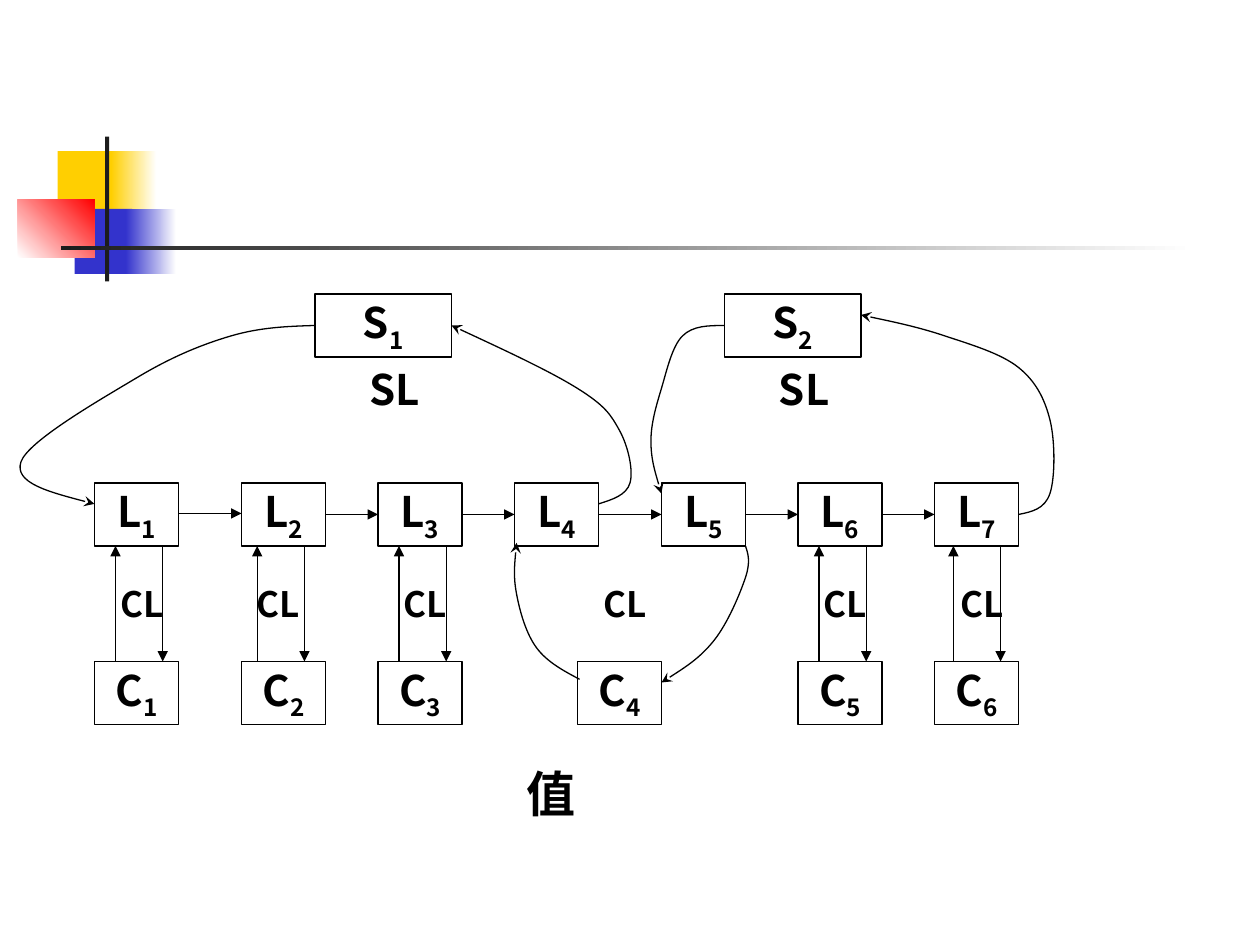
import pptx
import pptx.util
import pptx.dml.color
import pptx.enum.shapes
import pptx.enum.text
import pptx.oxml
import pptx.oxml.ns

HUES = {"ink": "000000", "bar": "1C1C1C", "gold": "FFCF01",
        "blue": "3333CC", "red": "FF0000", "white": "FFFFFF"}
FONT = "Noto Sans CJK SC"
COLS, ROWS = 120, 90            # grid of the slide, twelve cells to the inch
CELL = pptx.util.Inches(10) // COLS

L_ROW, C_ROW, S_ROW = 46, 63, 28
BOX_W, BOX_H, S_W = 8, 6, 13
L_COLS = [9, 23, 36, 49, 63, 76, 89]
S_COLS = [30, 69]
# Left of each C box, left of its CL label, column of its upward arrow
LINKS = [(9, 8, 11), (23, 21, 24.5), (36, 35, 38),
         (55, 54, None), (76, 75, 78), (89, 88, 90.8)]
PAIR_GAP = 4.5
# Knots of the curved arrows
CURVES = [
    [(30, 31), (22, 32), (13, 36), (2, 44), (9, 48)],
    [(57, 48), (60, 46), (59, 41), (55, 37), (43, 31)],
    [(69, 31), (65, 32), (63, 37), (62, 42), (63, 47)],
    [(97, 49), (100, 47), (100, 40), (97, 35), (90, 32), (82, 30)],
    [(71, 52), (71, 55), (68, 61), (63, 65)],
    [(55.2, 64.7), (51.1, 61.7), (49.2, 56.6), (49.2, 51.7)],
]
# Corner ornament: place, first colour, last colour, angle
DECOR = [
    ((5.5, 14.4, 5.8, 6.2), "gold", None, 0),
    ((10.6, 14.4, 4.3, 6.2), "gold", "white", 0),
    ((7.1, 19.9, 5.5, 6.2), "blue", None, 0),
    ((12, 19.9, 4.8, 6.2), "blue", "white", 0),
    ((1.7, 19, 7.3, 5.5), "white", "red", 45),
    ((10, 13, 0.4, 13.8), "bar", None, 0),
    ((5.8, 23.4, 108, 0.4), "bar", "white", 0),
]


def grid(*cells):
    return [round(n * CELL) for n in cells]


def hue(name):
    return pptx.dml.color.RGBColor.from_string(HUES[name])


def rect(slide, place):
    kind = pptx.enum.shapes.MSO_SHAPE.RECTANGLE
    shape = slide.shapes.add_shape(kind, *grid(*place))
    shape.shadow.inherit = False
    return shape


def decor(slide, place, first, last, angle):
    shape = rect(slide, place)
    shape.line.fill.background()
    if last is None:
        shape.fill.solid()
        shape.fill.fore_color.rgb = hue(first)
        return
    shape.fill.gradient()
    shape.fill.gradient_angle = angle
    for stop, name in zip(shape.fill.gradient_stops, (first, last)):
        stop.color.rgb = hue(name)


def write(shape, text, size, sub=""):
    """Put centred bold text in a shape, with an optional subscript."""
    frame = shape.text_frame
    frame.word_wrap = False
    frame.vertical_anchor = pptx.enum.text.MSO_ANCHOR.MIDDLE
    frame.text = text
    para = frame.paragraphs[0]
    para.alignment = pptx.enum.text.PP_ALIGN.CENTER
    if sub:
        run = para.add_run()
        run.text = sub
        run.font._element.set("baseline", "-25000")
    for run in para.runs:
        run.font.size = pptx.util.Pt(size)
        run.font.bold = True
        run.font.name = FONT
        run.font.color.rgb = hue("ink")
        east = pptx.oxml.parse_xml(
            f'<a:ea {pptx.oxml.ns.nsdecls("a")} typeface="{FONT}"/>')
        run.font._element.find(pptx.oxml.ns.qn("a:latin")).addnext(east)


def box(slide, col, row, width, name, index):
    shape = rect(slide, (col, row, width, BOX_H))
    shape.fill.background()
    shape.line.color.rgb = hue("ink")
    shape.line.width = pptx.util.Pt(0.75)
    write(shape, name, 24, str(index))


def label(slide, place, text, size):
    shape = slide.shapes.add_textbox(*grid(*place))
    write(shape, text, size)
    return shape


def tip(shape, head):
    """Style a line and end it with an arrowhead."""
    shape.line.color.rgb = hue("ink")
    shape.line.width = pptx.util.Pt(0.75)
    space = pptx.oxml.ns.nsdecls("a")
    line = shape.line._get_or_add_ln()
    line.append(pptx.oxml.parse_xml(f'<a:tailEnd {space} type="{head}"/>'))


def arrow(slide, start, end):
    kind = pptx.enum.shapes.MSO_CONNECTOR.STRAIGHT
    link = slide.shapes.add_connector(kind, *grid(*start, *end))
    tip(link, "triangle")
    space = pptx.oxml.ns.nsdecls("a")
    link._element.spPr.append(pptx.oxml.parse_xml(f"<a:effectLst {space}/>"))


def mid(a, b):
    return (a[0] + b[0]) / 2, (a[1] + b[1]) / 2


def spline(knots):
    """Bezier points of a smooth curve through the knots."""
    slopes = [((c[0] - a[0]) / 6, (c[1] - a[1]) / 6)
              for a, c in zip(knots, knots[2:])]
    before = [(k[0] - s[0], k[1] - s[1]) for k, s in zip(knots[1:], slopes)]
    after = [(k[0] + s[0], k[1] + s[1]) for k, s in zip(knots[1:], slopes)]
    after.insert(0, mid(knots[0], before[0]))
    before.append(mid(after[-1], knots[-1]))
    return [p for trio in zip(after, before, knots[1:]) for p in trio]


def curve(slide, knots):
    pen = slide.shapes.build_freeform(*grid(*knots[0]))
    pen.add_line_segments([grid(*p) for p in spline(knots)], close=False)
    shape = pen.convert_to_shape()
    shape.shadow.inherit = False
    shape.fill.background()
    tip(shape, "stealth")
    # Each three straight steps become one Bezier step
    steps = list(shape._element.iter(pptx.oxml.ns.qn("a:lnTo")))
    for i in range(0, len(steps), 3):
        bend = pptx.oxml.parse_xml(
            f'<a:cubicBezTo {pptx.oxml.ns.nsdecls("a")}/>')
        steps[i].addprevious(bend)
        for step in steps[i:i + 3]:
            bend.append(step[0])
            step.getparent().remove(step)


def main():
    deck = pptx.Presentation()
    deck.slide_width, deck.slide_height = grid(COLS, ROWS)
    slide = deck.slides.add_slide(deck.slide_layouts[6])

    # Corner ornament
    for part in DECOR:
        decor(slide, *part)

    # S boxes with their labels
    for i, col in enumerate(S_COLS, 1):
        box(slide, col, S_ROW, S_W, "S", i)
        note = label(slide, (col + 4, S_ROW + BOX_H, 9, 6), "SL", 24)
        note.text_frame.word_wrap = True
        note.text_frame.vertical_anchor = pptx.enum.text.MSO_ANCHOR.TOP
        note.text_frame.paragraphs[0].alignment = pptx.enum.text.PP_ALIGN.LEFT

    # Chain of L boxes
    for i, col in enumerate(L_COLS, 1):
        box(slide, col, L_ROW, BOX_W, "L", i)
    for i, (left, right) in enumerate(zip(L_COLS, L_COLS[1:])):
        row = L_ROW + BOX_H / 2 - (0.1 if i == 0 else 0)
        arrow(slide, (left + BOX_W, row), (right, row))

    # C boxes, labels and arrow pairs
    low = L_ROW + BOX_H
    for i, (col, side, rise) in enumerate(LINKS, 1):
        box(slide, col, C_ROW, BOX_W, "C", i)
        label(slide, (side, 55, 11, 5), "CL", 20)
        if rise:
            fall = rise + PAIR_GAP
            arrow(slide, (fall, low), (fall, C_ROW))
            arrow(slide, (rise, C_ROW), (rise, low))

    # Curved arrows and caption
    for knots in CURVES:
        curve(slide, knots)
    label(slide, (47, 73, 11, 5), "值", 28)

    deck.save("out.pptx")


if __name__ == "__main__":
    main()
